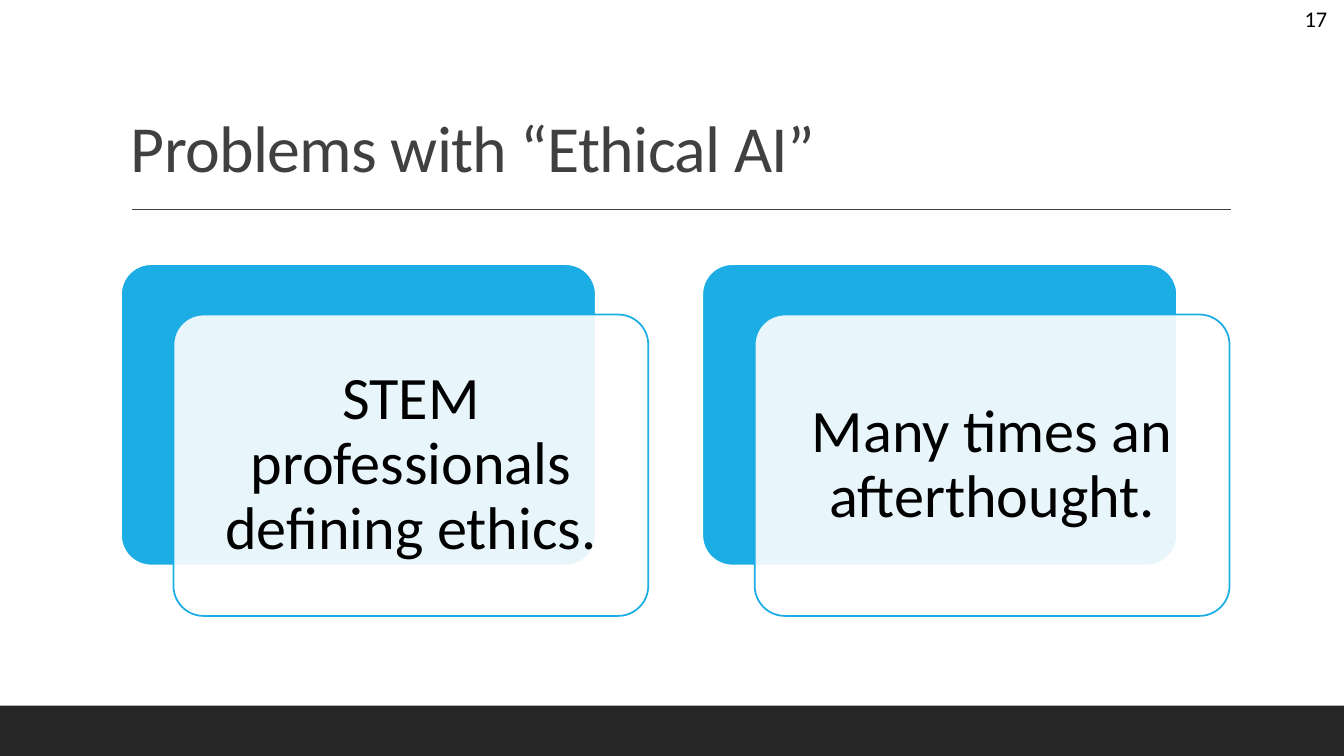
"""Build the slide on problems with ethical AI."""
from dataclasses import dataclass

from lxml import etree
from pptx import Presentation
from pptx import util as u
from pptx.dml.color import RGBColor
from pptx.enum import shapes, text
from pptx.oxml import ns

BLACK = RGBColor(0x00, 0x00, 0x00)
WHITE = RGBColor(0xFF, 0xFF, 0xFF)
CHARCOAL = RGBColor(0x26, 0x26, 0x26)
GRAY = RGBColor(0x40, 0x40, 0x40)
BLUE = RGBColor(0x1C, 0xAD, 0xE4)

CARD_WIDTH, CARD_HEIGHT, CARD_TOP = 4.71, 2.99, 2.62
CARD_LEFT, CARD_PITCH = 1.2, 5.765
FRONT_SHIFT_X, FRONT_SHIFT_Y = 0.52, 0.5
TEXT_INSET = 0.085


@dataclass(frozen=True)
class Area:
    left: float
    top: float
    width: float
    height: float

    def lengths(self) -> tuple:
        return tuple(u.Inches(n) for n in (self.left, self.top, self.width, self.height))


@dataclass(frozen=True)
class Label:
    words: str
    area: Area
    size: float
    color: RGBColor = BLACK
    anchor: text.MSO_ANCHOR = text.MSO_ANCHOR.TOP
    align: text.PP_ALIGN = text.PP_ALIGN.LEFT
    line_spacing: float = 1.0
    inset: tuple[float, float] = (0.1, 0.05)
    wrap: bool = True
    tracking: int = 0


def add_label(page, label: Label) -> None:
    box = page.shapes.add_textbox(*label.area.lengths())
    frame = box.text_frame
    frame.word_wrap = label.wrap
    frame.vertical_anchor = label.anchor
    frame.margin_left = frame.margin_right = u.Inches(label.inset[0])
    frame.margin_top = frame.margin_bottom = u.Inches(label.inset[1])
    para = frame.paragraphs[0]
    para.alignment = label.align
    para.line_spacing = label.line_spacing
    span = para.add_run()
    span.text = label.words
    span.font.name = "Calibri"
    span.font.size = u.Pt(label.size)
    span.font.color.rgb = label.color
    if label.tracking:
        for properties in box.element.iter(ns.qn("a:rPr")):
            properties.set("spc", str(label.tracking))


def add_panel(page, area: Area, fill: RGBColor, line: RGBColor, opacity: int = 100) -> None:
    panel = page.shapes.add_shape(shapes.MSO_SHAPE.ROUNDED_RECTANGLE, *area.lengths())
    panel.shadow.inherit = False
    panel.adjustments[0] = 0.1
    panel.fill.solid()
    panel.fill.fore_color.rgb = fill
    panel.line.color.rgb = line
    panel.line.width = u.Pt(1.25)
    if opacity < 100:
        color = panel.element.spPr.find(ns.qn("a:solidFill"))[0]
        etree.SubElement(color, ns.qn("a:alpha")).set("val", str(opacity * 1000))


def add_card(page, left: float, words: str) -> None:
    front_left, front_top = left + FRONT_SHIFT_X, CARD_TOP + FRONT_SHIFT_Y
    add_panel(page, Area(left, CARD_TOP, CARD_WIDTH, CARD_HEIGHT), BLUE, WHITE)
    add_panel(page, Area(front_left, front_top, CARD_WIDTH, CARD_HEIGHT), WHITE, BLUE, 90)
    inner = Area(front_left + TEXT_INSET, front_top + TEXT_INSET,
                 CARD_WIDTH - 2 * TEXT_INSET, CARD_HEIGHT - 2 * TEXT_INSET)
    add_label(page, Label(words, inner, 43, anchor=text.MSO_ANCHOR.MIDDLE,
                          align=text.PP_ALIGN.CENTER, line_spacing=0.9, inset=(0.18, 0.18)))


def add_frame(page) -> None:
    footer = page.shapes.add_shape(shapes.MSO_SHAPE.RECTANGLE,
                                   *Area(0, 7, 13.33, 0.5).lengths())
    footer.shadow.inherit = False
    footer.fill.solid()
    footer.fill.fore_color.rgb = CHARCOAL
    footer.line.fill.background()
    rule = page.shapes.add_connector(shapes.MSO_CONNECTOR.STRAIGHT, u.Inches(1.31),
                                     u.Inches(2.08), u.Inches(12.21), u.Inches(2.08))
    rule.line.color.rgb = GRAY
    rule.line.width = u.Pt(1)
    etree.SubElement(rule.element.spPr, ns.qn("a:effectLst"))


def main() -> None:
    deck = Presentation()
    deck.slide_width, deck.slide_height = u.Inches(13.33), u.Inches(7.5)
    page = deck.slides.add_slide(deck.slide_layouts[6])
    add_frame(page)
    add_label(page, Label("Problems with “Ethical AI”", Area(1.2, 0.31, 11, 1.59), 47, GRAY,
                          anchor=text.MSO_ANCHOR.BOTTOM, line_spacing=0.9, tracking=-50))
    problems = ("STEM professionals defining ethics.", "Many times an afterthought.")
    for column, words in enumerate(problems):
        add_card(page, CARD_LEFT + column * CARD_PITCH, words)
    add_label(page, Label("17", Area(12.84, 0, 0.46, 0.37), 16, wrap=False))
    deck.save("out.pptx")


if __name__ == "__main__":
    main()
